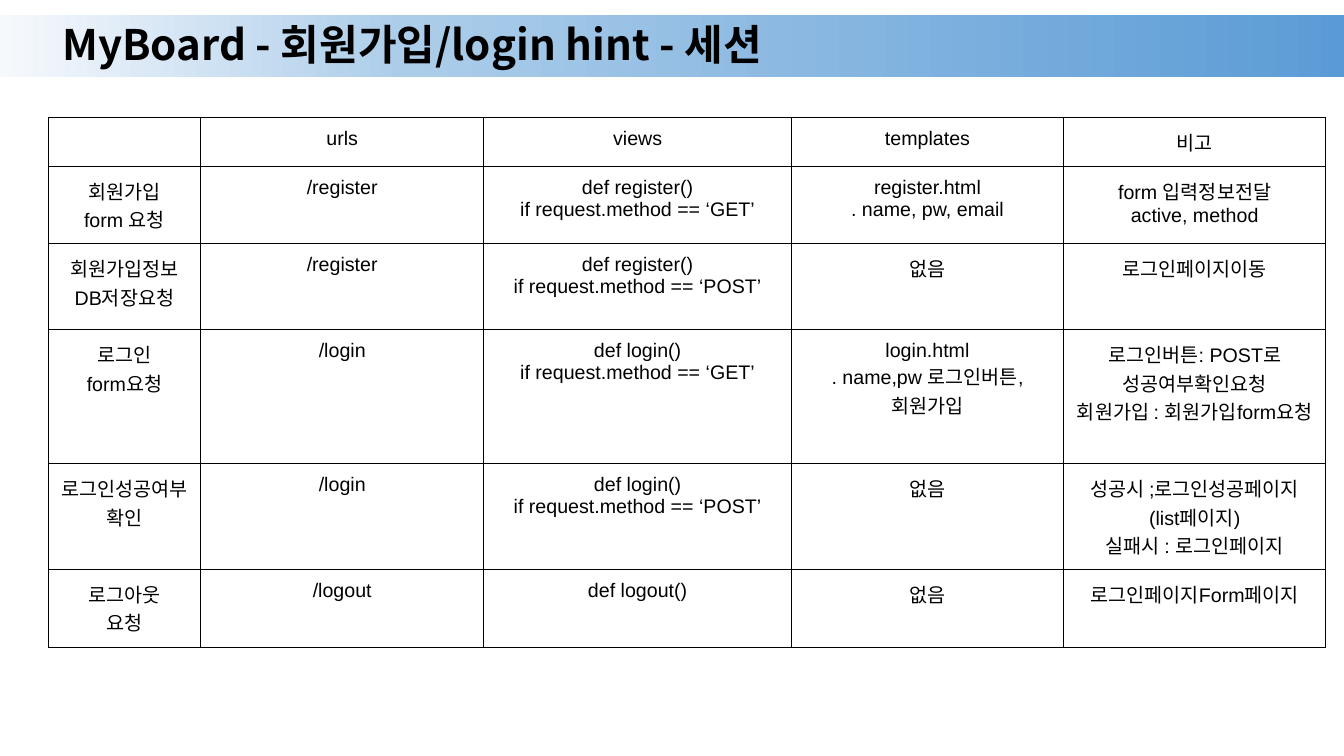
from copy import deepcopy
from dataclasses import dataclass

from lxml.etree import SubElement
from pptx import Presentation
from pptx.dml.color import RGBColor
from pptx.enum.shapes import MSO_SHAPE
from pptx.enum.text import MSO_ANCHOR, PP_ALIGN
from pptx.oxml.ns import qn
from pptx.util import Inches, Pt


@dataclass(frozen=True)
class Theme:
    ink: str = "000000"
    band_stops: tuple = ((0, "F6F9FC"), (30, "ACCDEA"), (100, "5B9BD5"))
    title_font: str = "Noto Sans CJK KR"
    body_font: str = "Arial"
    korean_font: str = "Noto Sans CJK KR"
    title_size: int = 30
    body_size: int = 14
    border: float = 0.75


theme = Theme()


def style_paragraph(para, font_name, size, bold=False):
    para.font.name = font_name
    para.font.size = Pt(size)
    para.font.bold = bold
    para.font.color.rgb = RGBColor.from_string(theme.ink)
    properties = para._p.pPr.find(qn("a:defRPr"))
    SubElement(properties, qn("a:ea"), typeface=theme.korean_font)


def add_borders(cell):
    properties = cell._tc.get_or_add_tcPr()
    for side in ("lnL", "lnR", "lnT", "lnB"):
        line = SubElement(properties, qn(f"a:{side}"), w=str(Pt(theme.border)))
        fill = SubElement(line, qn("a:solidFill"))
        SubElement(fill, qn("a:srgbClr"), val=theme.ink)


deck = Presentation()
deck.slide_width = Inches(13.33)
deck.slide_height = Inches(7.5)
page = deck.slides.add_slide(deck.slide_layouts[6])

band = page.shapes.add_shape(
    MSO_SHAPE.RECTANGLE, 0, Inches(0.15), deck.slide_width, Inches(0.61))
band.shadow.inherit = False
band.line.fill.background()
band.fill.gradient()
band.fill.gradient_angle = 0
stop_list = band._element.spPr.find(qn("a:gradFill")).find(qn("a:gsLst"))
stop_list.append(deepcopy(stop_list[-1]))
for stop, (position, color) in zip(band.fill.gradient_stops, theme.band_stops):
    stop.position = position / 100
    stop.color.rgb = RGBColor.from_string(color)

title = page.shapes.add_textbox(
    Inches(0.52), Inches(0.15), Inches(9.94), Inches(0.63)).text_frame
title.word_wrap = True
title.vertical_anchor = MSO_ANCHOR.MIDDLE
title.text = "MyBoard - 회원가입/login hint - 세션"
title.paragraphs[0].line_spacing = 0.9
style_paragraph(title.paragraphs[0], theme.title_font, theme.title_size, True)

rows = [
    ("", "urls", "views", "templates", "비고"),
    ("회원가입\nform 요청", "/register",
     "def register()\nif request.method == ‘GET’",
     "register.html\n. name, pw, email",
     "form 입력정보전달\vactive, method"),
    ("회원가입정보\vDB저장요청", "/register",
     "def register()\vif request.method == ‘POST’",
     "없음", "로그인페이지이동"),
    ("로그인\vform요청", "/login",
     "def login()\nif request.method == ‘GET’",
     "login.html\n. name,pw 로그인버튼, 회원가입",
     "로그인버튼: POST로 성공여부확인요청\v회원가입 : 회원가입form요청"),
    ("로그인성공여부확인", "/login",
     "def login()\nif request.method == ‘POST’",
     "없음",
     "성공시 ;로그인성공페이지\n(list페이지)\v실패시 : 로그인페이지"),
    ("로그아웃\v요청", "/logout", "def logout()", "없음",
     "로그인페이지Form페이지"),
]
column_widths = (1.51, 2.81, 3.05, 2.7, 2.6)
row_heights = (0.48, 0.77, 0.85, 1.33, 1.05, 0.77)

table = page.shapes.add_table(
    len(rows), len(column_widths), Inches(0.48), Inches(1.17),
    Inches(sum(column_widths)), Inches(sum(row_heights))).table
table.first_row = False
table.horz_banding = False
for column, width in zip(table.columns, column_widths):
    column.width = Inches(width)
for row, height, texts in zip(table.rows, row_heights, rows):
    row.height = Inches(height)
    for cell, text in zip(row.cells, texts):
        add_borders(cell)
        cell.fill.background()
        if not text:
            continue
        cell.margin_left = cell.margin_right = Inches(0.1)
        cell.margin_top = cell.margin_bottom = Inches(0.1)
        cell.text = text
        for para in cell.text_frame.paragraphs:
            para.alignment = PP_ALIGN.CENTER
            style_paragraph(para, theme.body_font, theme.body_size)

deck.save("out.pptx")
